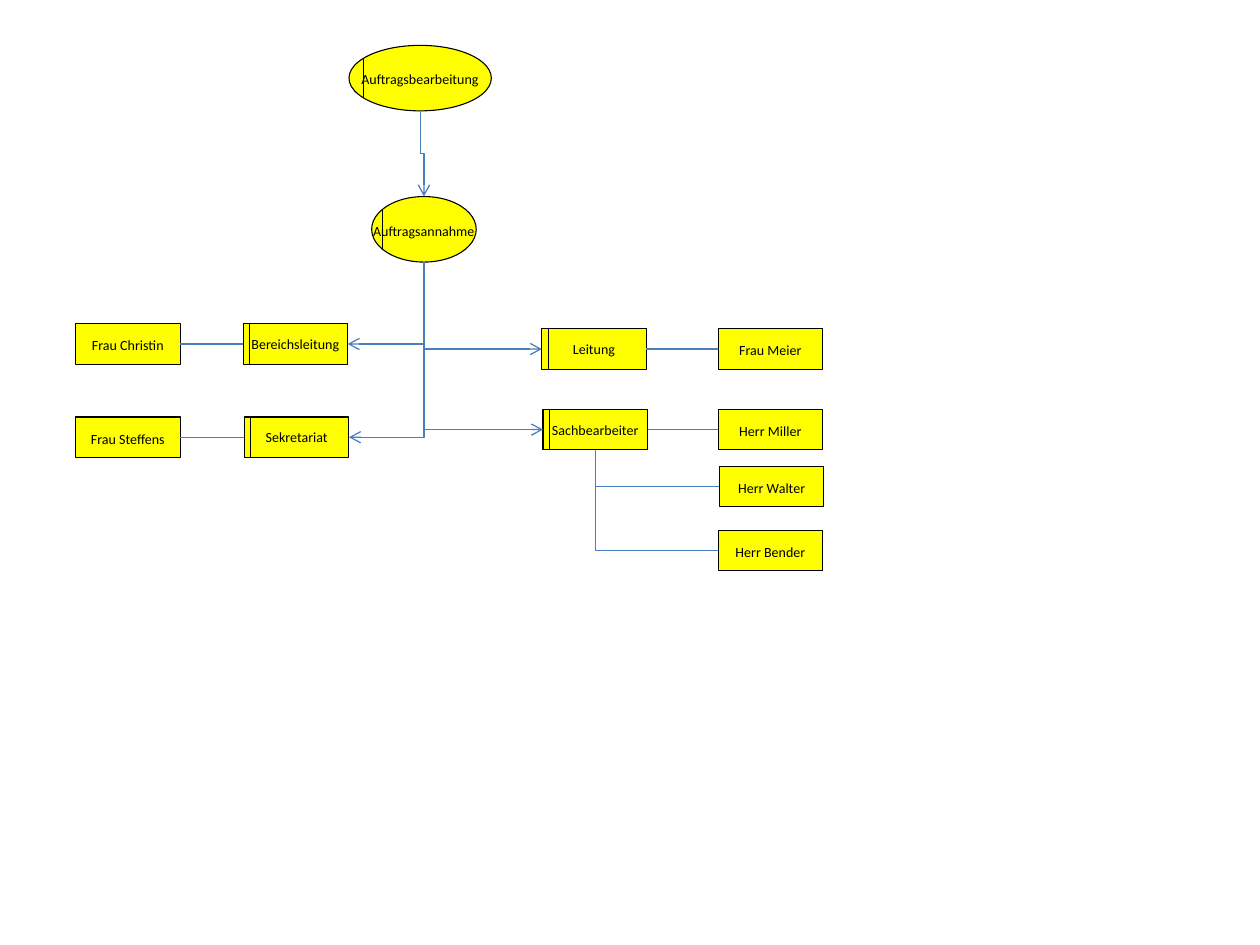
from dataclasses import dataclass

from lxml import etree
from pptx import Presentation
from pptx.dml.color import RGBColor
from pptx.enum.shapes import MSO_CONNECTOR, MSO_SHAPE
from pptx.enum.text import MSO_ANCHOR, PP_ALIGN
from pptx.oxml.ns import qn
from pptx.util import Inches, Pt

RECT, OVAL = MSO_SHAPE.RECTANGLE, MSO_SHAPE.OVAL
STRAIGHT, ELBOW = MSO_CONNECTOR.STRAIGHT, MSO_CONNECTOR.ELBOW
CENTER, MIDDLE = PP_ALIGN.CENTER, MSO_ANCHOR.MIDDLE
TOP, LEFT, BOTTOM, RIGHT = range(4)


@dataclass(frozen=True)
class Theme:
    fill: RGBColor = RGBColor(0xFF, 0xFF, 0x00)
    ink: RGBColor = RGBColor(0x00, 0x00, 0x00)
    link: RGBColor = RGBColor(0x4B, 0x7E, 0xBC)
    font: str = "Calibri"
    text_size: float = 8
    outline: float = 0.63
    link_width: float = 0.75


class OrgChart:
    def __init__(self, slide, theme):
        self.slide = slide
        self.theme = theme

    def node(self, label, kind, left, top, width, height, drop=0.0):
        shape = self.slide.shapes.add_shape(
            kind, Inches(left), Inches(top), Inches(width), Inches(height))
        shape.shadow.inherit = False
        shape.fill.solid()
        shape.fill.fore_color.rgb = self.theme.fill
        shape.line.color.rgb = self.theme.ink
        shape.line.width = Pt(self.theme.outline)
        frame = shape.text_frame
        frame.word_wrap = False
        frame.vertical_anchor = MIDDLE
        frame.margin_left = frame.margin_right = frame.margin_bottom = 0
        frame.margin_top = Inches(drop)
        frame.text = label
        paragraph = frame.paragraphs[0]
        paragraph.alignment = CENTER
        font = paragraph.runs[0].font
        font.name = self.theme.font
        font.size = Pt(self.theme.text_size)
        font.color.rgb = self.theme.ink
        return shape

    def person(self, label, left, top):
        return self.node(label, RECT, left, top, 0.83, 0.32, drop=0.02)

    def role(self, label, left, top):
        shape = self.node(label, RECT, left, top, 0.83, 0.32)
        self.bar(left + 0.05, top, top + 0.32)
        return shape

    def task(self, label, left, top, width):
        shape = self.node(label, OVAL, left, top, width, 0.52, drop=0.02)
        self.bar(left + width / 10, top + 0.11, top + 0.42)
        return shape

    def line(self, kind, color, width, ends=(0, 0, 0, 0)):
        line = self.slide.shapes.add_connector(kind, *map(Inches, ends))
        line.line.color.rgb = color
        line.line.width = Pt(width)
        etree.SubElement(line._element.spPr, qn("a:effectLst"))
        return line

    def bar(self, x, top, bottom):
        self.line(STRAIGHT, self.theme.ink, self.theme.outline, (x, top, x, bottom))

    def link(self, start, start_side, end, end_side, kind=STRAIGHT):
        line = self.line(kind, self.theme.link, self.theme.link_width)
        line.begin_connect(start, start_side)
        line.end_connect(end, end_side)
        sites = line._element.nvCxnSpPr.cNvCxnSpPr
        for shape, site in ((start, sites.stCxn), (end, sites.endCxn)):
            if shape.auto_shape_type == OVAL:
                site.idx *= 2
        return line

    def drop_link(self, start, end, end_side, preset="bentConnector2", arrow=True):
        line = self.link(start, BOTTOM, end, end_side, ELBOW)
        across = line.end_x - line.begin_x
        down = line.end_y - line.begin_y
        center_x = (line.begin_x + line.end_x) // 2
        center_y = (line.begin_y + line.end_y) // 2
        frame = line._element.spPr.find(qn("a:xfrm"))
        frame.attrib.clear()
        frame.set("rot", "16200000" if across > 0 else "5400000")
        if across > 0:
            frame.set("flipH", "1")
        line.width, line.height = down, abs(across)
        line.left = center_x - down // 2
        line.top = center_y - abs(across) // 2
        line._element.spPr.find(qn("a:prstGeom")).set("prst", preset)
        if arrow:
            stroke = line.line._get_or_add_ln()
            etree.SubElement(stroke, qn("a:tailEnd"), type="arrow")


presentation = Presentation()
presentation.slide_width = Inches(10)
presentation.slide_height = Inches(7.5)
slide = presentation.slides.add_slide(presentation.slide_layouts[6])
chart = OrgChart(slide, Theme())

processing = chart.task("Auftragsbearbeitung", 2.77, 0.36, 1.13)
intake = chart.task("Auftragsannahme", 2.95, 1.56, 0.83)
chart.drop_link(processing, intake, TOP, preset="bentConnector3")

BRANCHES = [
    ("Bereichsleitung", 1.93, 2.57, "Frau Christin", 0.6),
    ("Sekretariat", 1.94, 3.31, "Frau Steffens", 0.6),
    ("Leitung", 4.3, 2.61, "Frau Meier", 5.7),
    ("Sachbearbeiter", 4.31, 3.25, "Herr Miller", 5.7),
]
roles = {}
for role_name, role_left, top, person_name, person_left in BRANCHES:
    person = chart.person(person_name, person_left, top)
    role = roles[role_name] = chart.role(role_name, role_left, top)
    outer, inner = (LEFT, RIGHT) if person_left < role_left else (RIGHT, LEFT)
    chart.link(role, outer, person, inner)
    chart.drop_link(intake, role, inner)

for person_name, left, top in (("Herr Walter", 5.71, 3.7), ("Herr Bender", 5.7, 4.21)):
    person = chart.person(person_name, left, top)
    chart.drop_link(roles["Sachbearbeiter"], person, LEFT, arrow=False)

presentation.save("out.pptx")
